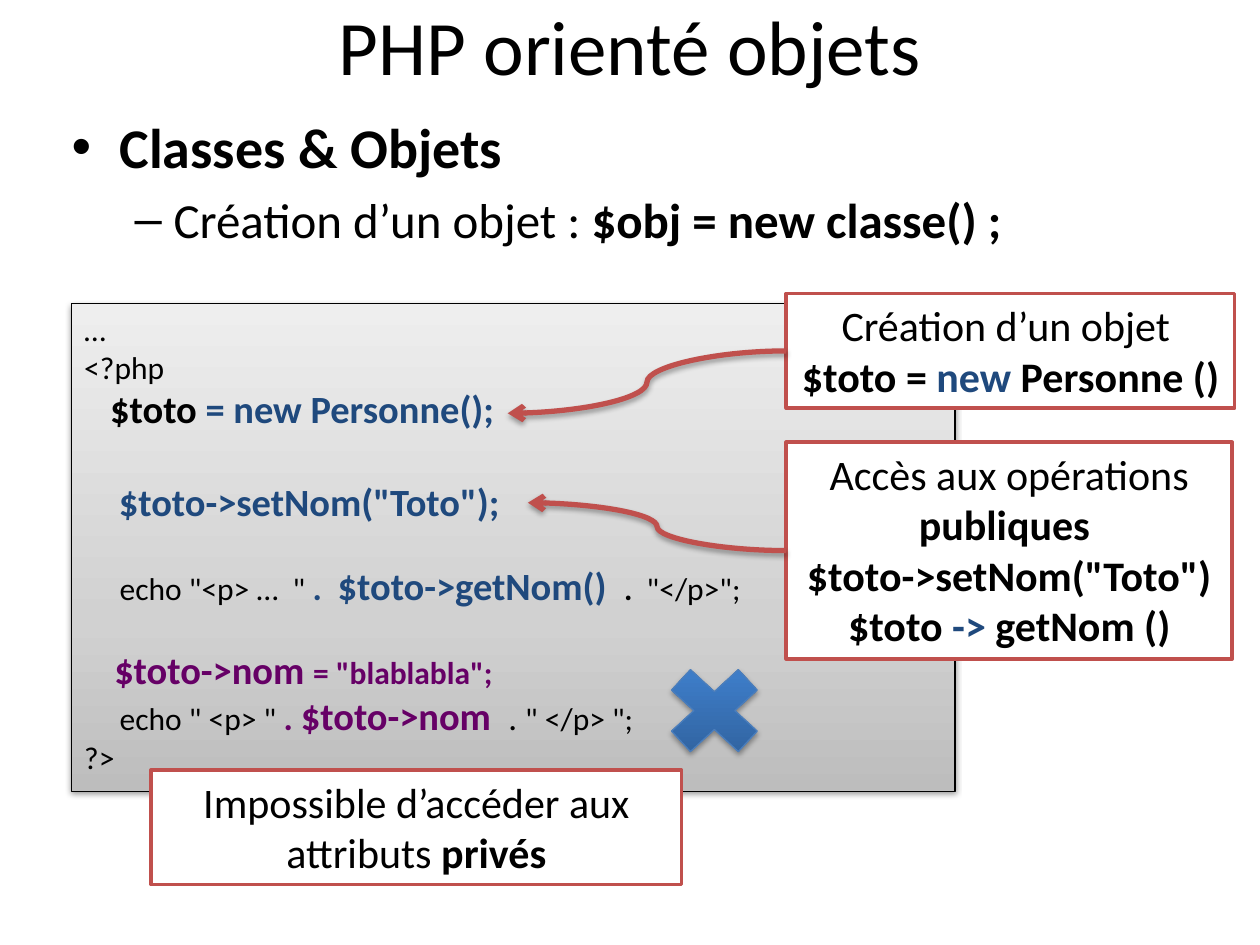
"""Build the slide on creating and using PHP objects."""
from pptx import Presentation
from pptx.dml.color import RGBColor
from pptx.enum.shapes import MSO_CONNECTOR, MSO_SHAPE
from pptx.enum.text import MSO_ANCHOR, PP_ALIGN
from pptx.oxml import parse_xml
from pptx.oxml.ns import nsdecls, qn
from pptx.util import Inches, Pt

BLACK = RGBColor(0, 0, 0)
WHITE = RGBColor(255, 255, 255)
NAVY = RGBColor(0x1F, 0x49, 0x7D)
PLUM = RGBColor(0x66, 0x00, 0x66)
RED = RGBColor(0xC0, 0x50, 0x4D)
BLUE = RGBColor(0x4B, 0x7E, 0xBC)
GREYS = [(0, "BDBDBD"), (35, "D1D1D1"), (100, "EEEEEE")]
BLUES = [(0, "2F5F99"), (80, "3D7CC7"), (100, "3A7CCB")]

TITLE = [[("PHP orienté objets", 44, BLACK, False)]]
BODY = [
    [("Classes & Objets", 32, BLACK, True)],
    [("Création d’un objet : ", 28, BLACK, False),
     ("$obj = new classe() ;", 28, BLACK, True)],
]
BULLETS = [("•", 0.38, -0.38, 0), ("–", 0.81, -0.31, 5.6)]
CODE = [
    [("…", 18, BLACK, False)],
    [("<?php", 18, BLACK, False)],
    [("   $toto ", 22, BLACK, True), ("= new Personne();", 22, NAVY, True)],
    [(" ", 22, NAVY, True)],
    [("    $toto->setNom(\"Toto\");", 22, NAVY, True)],
    [(" ", 18, BLACK, False)],
    [("     echo \"<p> …  \" ", 18, BLACK, False), (".  ", 20, NAVY, True),
     ("$toto->getNom()  ", 22, NAVY, True), (". ", 18, BLACK, True),
     (" \"</p>\";", 18, BLACK, False)],
    [(" ", 18, BLACK, False)],
    [("   ", 18, BLACK, False), (" $toto->nom ", 22, PLUM, True),
     ("= \"blablabla\";", 18, PLUM, True)],
    [("     echo \" <p> \" ", 18, BLACK, False), (". ", 20, PLUM, True),
     ("$toto->nom  ", 22, PLUM, True), (". ", 20, BLACK, False),
     ("\" </p> \";", 18, BLACK, False)],
    [("?>", 18, BLACK, False)],
]
NEW = [
    [("Création d’un objet ", 24, BLACK, False)],
    [("$toto = ", 24, BLACK, True), ("new", 24, NAVY, True),
     (" Personne ()", 24, BLACK, True)],
]
PUBLIC = [
    [("Accès aux opérations ", 24, BLACK, False),
     ("publiques ", 24, BLACK, True)],
    [("$toto->setNom(\"Toto\")", 24, BLACK, True)],
    [("$toto ", 24, BLACK, True), ("-> ", 24, NAVY, True),
     ("getNom ()", 24, BLACK, True)],
]
PRIVATE = [[("Impossible d’accéder aux attributs ", 24, BLACK, False),
            ("privés", 24, BLACK, True)]]
NOTES = [
    (NEW, (6.24, 2.33, 3.56, 0.91), 0.1, False, (4.03, 3.28)),
    (PUBLIC, (6.24, 3.51, 3.54, 1.72), 0.04, True, (4.19, 3.99)),
    (PRIVATE, (1.2, 6.11, 4.21, 0.91), 0.04, True, None),
]


def style(font, size, color, bold):
    font.name, font.size, font.bold = "Calibri", Pt(size), bold
    font.color.rgb = color


def write(shape, lines, align=PP_ALIGN.LEFT, anchor=MSO_ANCHOR.TOP,
          wrap=True, inset=0.1, marks=()):
    frame = shape.text_frame
    frame.word_wrap, frame.vertical_anchor = wrap, anchor
    frame.margin_left = frame.margin_right = Inches(inset)
    for i, runs in enumerate(lines):
        para = frame.add_paragraph() if i else frame.paragraphs[0]
        para.alignment = align
        if marks:
            mark, left, hang, gap = marks[i]
            para.space_before = Pt(gap)
            props = para._p.get_or_add_pPr()
            props.set("marL", str(Inches(left)))
            props.set("indent", str(Inches(hang)))
            props.append(parse_xml(
                f'<a:buFont {nsdecls("a")} typeface="Arial"/>'))
            props.append(parse_xml(
                f'<a:buChar {nsdecls("a")} char="{mark}"/>'))
        same = len({run[1:] for run in runs}) == 1
        if same:
            style(para.font, *runs[0][1:])
        for text, *look in runs:
            run = para.add_run()
            run.text = text
            if not same:
                style(run.font, *look)


def shade(props, alpha, dist):
    effect = props.find(qn("a:effectLst"))
    if effect is None:
        effect = parse_xml(f'<a:effectLst {nsdecls("a")}/>')
        props.append(effect)
    effect.append(parse_xml(
        f'<a:outerShdw {nsdecls("a")} blurRad="{Pt(3.1)}" dist="{Pt(dist)}" '
        f'dir="5400000" rotWithShape="0"><a:srgbClr val="000000">'
        f'<a:alpha val="{alpha * 1000}"/></a:srgbClr></a:outerShdw>'))


def draw(slide, kind, place, line, width):
    shape = slide.shapes.add_shape(kind, *map(Inches, place))
    shape.shadow.inherit = False
    shape.line.color.rgb, shape.line.width = line, Pt(width)
    return shape


def blend(shape, stops):
    shape.fill.gradient()
    grad = shape._element.spPr.find(qn("a:gradFill"))
    marks = "".join(f'<a:gs pos="{pos * 1000}"><a:srgbClr val="{tone}"/></a:gs>'
                    for pos, tone in stops)
    grad.replace(grad.find(qn("a:gsLst")), parse_xml(
        f'<a:gsLst {nsdecls("a")}>{marks}</a:gsLst>'))
    grad.find(qn("a:lin")).set("ang", "16200000")


def point(slide, box, tip):
    start = box.left, box.top + box.height // 2
    arrow = slide.shapes.add_connector(
        MSO_CONNECTOR.CURVE, *start, *map(Inches, tip))
    arrow.begin_connect(box, 1)
    arrow.line.color.rgb, arrow.line.width = RED, Pt(3)
    arrow.line._get_or_add_ln().append(parse_xml(
        f'<a:tailEnd {nsdecls("a")} type="arrow"/>'))
    shade(arrow._element.spPr, 35, 1.8)


def main():
    deck = Presentation()
    deck.slide_width, deck.slide_height = Inches(10), Inches(7.5)
    slide = deck.slides.add_slide(deck.slide_layouts[6])

    title = slide.shapes.add_textbox(*map(Inches, (0.5, -0.27, 9, 1.25)))
    write(title, TITLE, PP_ALIGN.CENTER, MSO_ANCHOR.MIDDLE)
    body = slide.shapes.add_textbox(*map(Inches, (0.47, 0.84, 9, 1.4)))
    write(body, BODY, marks=BULLETS)

    code = draw(slide, MSO_SHAPE.RECTANGLE, (0.57, 2.41, 7.01, 3.87),
                BLACK, 0.75)
    blend(code, GREYS)
    shade(code._element.spPr, 38, 1.6)
    write(code, CODE)

    cross = draw(slide, MSO_SHAPE.MATH_MULTIPLY, (5.16, 5.17, 1.02, 0.94),
                 BLUE, 0.75)
    blend(cross, BLUES)
    shade(cross._element.spPr, 35, 1.8)

    for lines, place, inset, wrap, tip in NOTES:
        box = draw(slide, MSO_SHAPE.RECTANGLE, place, RED, 2)
        box.fill.solid()
        box.fill.fore_color.rgb = WHITE
        write(box, lines, PP_ALIGN.CENTER, wrap=wrap, inset=inset)
        if tip:
            point(slide, box, tip)

    deck.save("out.pptx")


if __name__ == "__main__":
    main()
